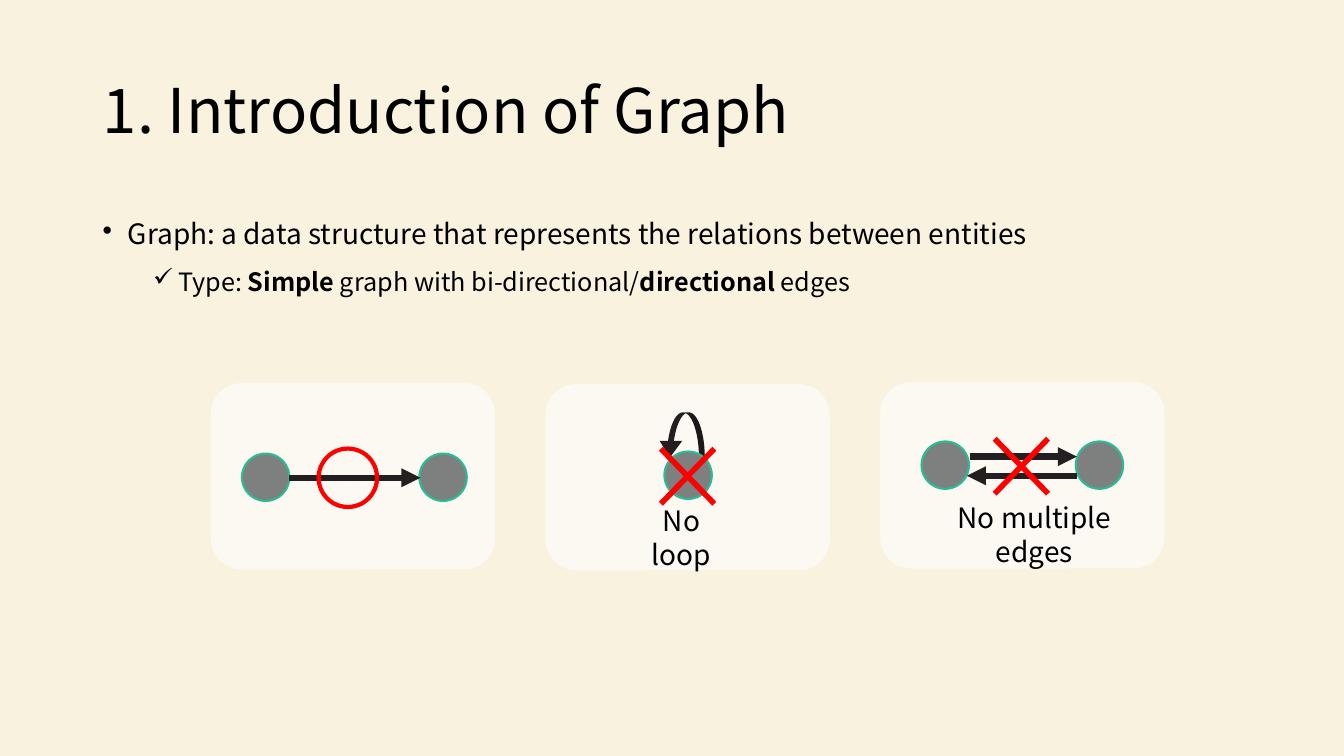
from lxml import etree
from pptx import Presentation
from pptx.dml.color import RGBColor
from pptx.enum.shapes import MSO_CONNECTOR, MSO_SHAPE
from pptx.enum.text import MSO_ANCHOR, PP_ALIGN
from pptx.oxml.ns import qn
from pptx.util import Inches, Pt

STRAIGHT = MSO_CONNECTOR.STRAIGHT
ROUNDED = MSO_SHAPE.ROUNDED_RECTANGLE
OVAL = MSO_SHAPE.OVAL
CROSS = MSO_SHAPE.MATH_MULTIPLY
LOOP_ARROW = MSO_SHAPE.CURVED_UP_ARROW
MIDDLE = MSO_ANCHOR.MIDDLE
LEFT = PP_ALIGN.LEFT
CENTER = PP_ALIGN.CENTER

CREAM = RGBColor(0xF9, 0xF2, 0xDF)
WHITE = RGBColor(0xFF, 0xFF, 0xFF)
BLACK = RGBColor(0x00, 0x00, 0x00)
INK = RGBColor(0x23, 0x1F, 0x20)
GRAY = RGBColor(0x7E, 0x7F, 0x7F)
GREEN = RGBColor(0x2B, 0xBB, 0x95)
RED = RGBColor(0xFF, 0x00, 0x00)

FONT = "Noto Sans CJK KR"
NODE_SIZE = 0.47
PANEL_WIDTH, PANEL_HEIGHT = 2.82, 1.85


def style_font(paragraph, size):
    paragraph.font.name = FONT
    paragraph.font.size = Pt(size)
    paragraph.font.color.rgb = BLACK


def add_figure(slide, kind, left, top, width, height, fill=None, line=None, weight=0):
    figure = slide.shapes.add_shape(
        kind, Inches(left), Inches(top), Inches(width), Inches(height))
    figure.shadow.inherit = False
    if fill is None:
        figure.fill.background()
    else:
        figure.fill.solid()
        figure.fill.fore_color.rgb = fill
    if line is None:
        figure.line.fill.background()
    else:
        figure.line.color.rgb = line
        figure.line.width = Pt(weight)
    return figure


def add_node(slide, left, top):
    add_figure(slide, OVAL, left, top, NODE_SIZE, NODE_SIZE, GRAY, GREEN, 1.5)


def add_cross(slide, left, top):
    cross = add_figure(slide, CROSS, left, top, 1.02, 1.05, RED)
    cross.adjustments[0] = 0.054


def add_edge(slide, start, end, y):
    edge = slide.shapes.add_connector(
        STRAIGHT, Inches(start), Inches(y), Inches(end), Inches(y))
    edge.line.color.rgb = INK
    edge.line.width = Pt(4.5)
    etree.SubElement(edge.line._get_or_add_ln(), qn("a:tailEnd"), type="triangle")
    etree.SubElement(edge._element.spPr, qn("a:effectLst"))


def add_caption(slide, text, center, top, width):
    caption = slide.shapes.add_textbox(
        Inches(center - width / 2), Inches(top), Inches(width), Inches(0.75))
    caption.text_frame.word_wrap = True
    paragraph = caption.text_frame.paragraphs[0]
    paragraph.text = text
    paragraph.alignment = CENTER
    style_font(paragraph, 20)


def add_panel(slide, left, top):
    panel = add_figure(slide, ROUNDED, left, top, PANEL_WIDTH, PANEL_HEIGHT, WHITE)
    color = panel.fill._xPr.find(qn("a:solidFill"))[0]
    etree.SubElement(color, qn("a:alpha"), val="60000")


def add_allowed_edge(slide, left, top):
    add_panel(slide, left, top)
    for offset in (0.31, 2.07):
        add_node(slide, left + offset, top + 0.7)
    add_edge(slide, left + 0.78, left + 2.08, top + 0.94)
    add_figure(slide, OVAL, left + 1.07, top + 0.65, 0.58, 0.58, line=RED, weight=3)


def add_no_loop(slide, left, top):
    add_panel(slide, left, top)
    loop = add_figure(slide, LOOP_ARROW, left + 1.12, top + 0.28, 0.46, 0.45, INK)
    loop.rotation = 180
    for index, value in enumerate((0.129, 0.5, 0.372)):
        loop.adjustments[index] = value
    add_node(slide, left + 1.18, top + 0.67)
    add_cross(slide, left + 0.9, top + 0.39)
    add_caption(slide, "No loop", left + 1.35, top + 1.14, 1)


def add_no_multiple_edges(slide, left, top):
    add_panel(slide, left, top)
    add_caption(slide, "No multiple edges", left + 1.53, top + 1.13, 2.2)
    for offset in (0.41, 1.94):
        add_node(slide, left + offset, top + 0.59)
    add_edge(slide, left + 0.89, left + 1.95, top + 0.74)
    add_edge(slide, left + 1.95, left + 0.86, top + 0.93)
    add_cross(slide, left + 0.89, top + 0.31)


def add_title(slide, left, top, width, height):
    title = slide.shapes.title
    title.left, title.top = Inches(left), Inches(top)
    title.width, title.height = Inches(width), Inches(height)
    title.text_frame.vertical_anchor = MIDDLE
    paragraph = title.text_frame.paragraphs[0]
    paragraph.text = "1. Introduction of Graph"
    paragraph.alignment = LEFT
    paragraph.line_spacing = 0.9
    style_font(paragraph, 44)


def add_definition(slide, left, top, width, height):
    definition = slide.shapes.add_textbox(
        Inches(left), Inches(top), Inches(width), Inches(height))
    frame = definition.text_frame
    frame.word_wrap = True
    points = (
        (0, "•", 20, 10, 0.25,
         (("Graph: a data structure that represents the relations between entities", False),)),
        (1, "✓", 18, 5, 0.75,
         (("Type: ", False), ("Simple", True), (" graph with bi-directional/", False),
          ("directional", True), (" edges", False))),
    )
    for level, bullet, size, before, margin, pieces in points:
        paragraph = frame.add_paragraph() if level else frame.paragraphs[0]
        paragraph.level = level
        paragraph.line_spacing = 1.3
        paragraph.space_before = Pt(before)
        properties = paragraph._p.get_or_add_pPr()
        properties.set("marL", str(Inches(margin)))
        properties.set("indent", str(Inches(-0.25)))
        etree.SubElement(properties, qn("a:buChar"), char=bullet)
        style_font(paragraph, size)
        for text, bold in pieces:
            run = paragraph.add_run()
            run.text = text
            if bold:
                run.font.bold = True


def main():
    deck = Presentation()
    deck.slide_width, deck.slide_height = Inches(13.33), Inches(7.5)
    slide = deck.slides.add_slide(deck.slide_layouts[5])
    slide.background.fill.solid()
    slide.background.fill.fore_color.rgb = CREAM
    add_title(slide, 0.92, 0.4, 11.5, 1.45)
    add_definition(slide, 0.92, 2, 11.5, 4.76)
    add_allowed_edge(slide, 2.09, 3.8)
    add_no_loop(slide, 5.41, 3.81)
    add_no_multiple_edges(slide, 8.73, 3.79)
    deck.save("out.pptx")


if __name__ == "__main__":
    main()
